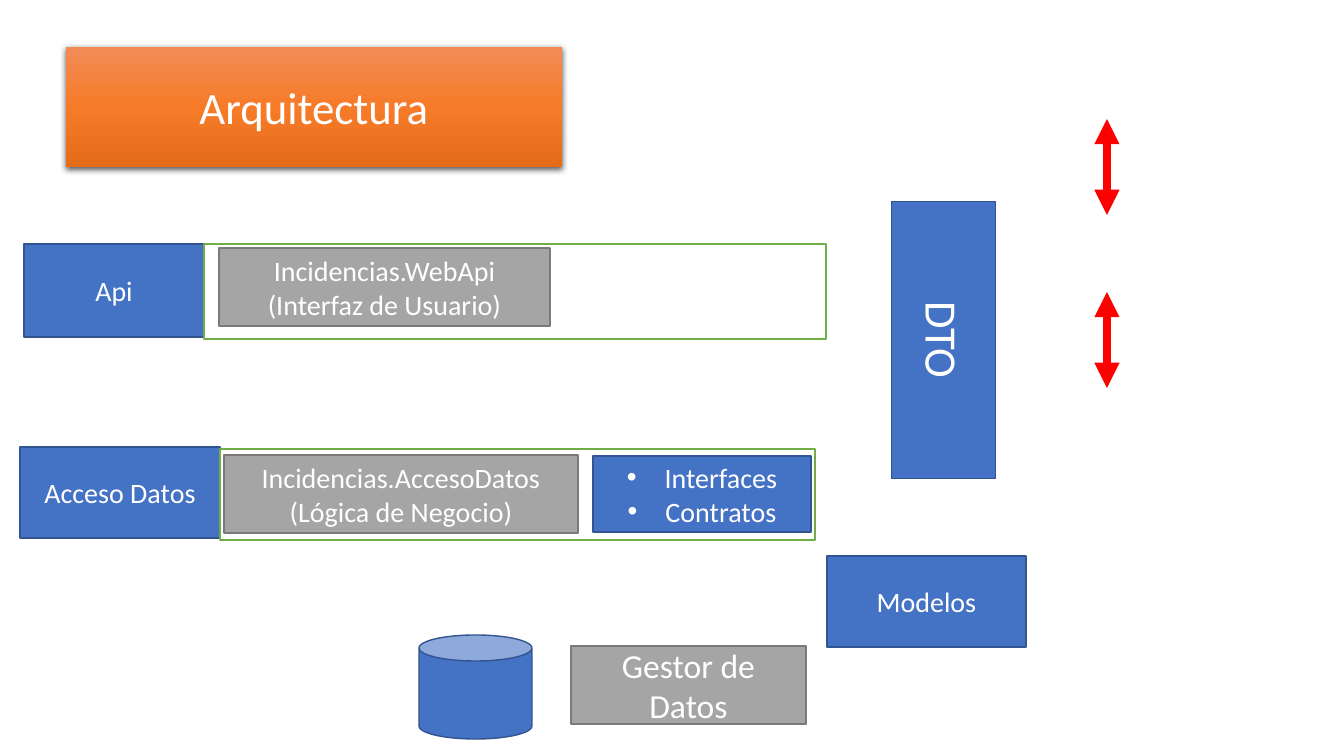
from lxml import etree
from pptx import Presentation
from pptx.dml.color import RGBColor
from pptx.enum.shapes import MSO_CONNECTOR, MSO_SHAPE
from pptx.enum.text import MSO_ANCHOR, PP_ALIGN
from pptx.oxml.ns import qn
from pptx.util import Emu, Pt

PX = 914400 / 100.8
FONT = "Calibri"
WHITE = RGBColor(0xFF, 0xFF, 0xFF)
RED = RGBColor(0xFF, 0x00, 0x00)
BLUE, BLUE_EDGE = RGBColor(0x44, 0x72, 0xC4), RGBColor(0x32, 0x54, 0x91)
GRAY, GRAY_EDGE = RGBColor(0xA5, 0xA5, 0xA5), RGBColor(0x7A, 0x7A, 0x7A)
GREEN_EDGE = RGBColor(0x70, 0xAD, 0x47)
ORANGE_STOPS = [(0, "F18C57"), (50, "F67B28"), (100, "E56C19")]

STYLES = {
    "layer": (BLUE, BLUE_EDGE),
    "project": (GRAY, GRAY_EDGE),
    "frame": (WHITE, GREEN_EDGE),
}

# style, (left, top, width, height), text, text size
BOXES = [
    ("layer", (24, 244, 180, 93), "Api", 20),
    ("frame", (204, 244, 622, 95), "", 20),
    ("project", (219, 248, 331, 78), "Incidencias.WebApi (Interfaz de Usuario)", 20),
    ("layer", (20, 447, 200, 91), "Acceso Datos", 20),
    ("frame", (220, 449, 595, 91), "", 20),
    ("project", (224, 455, 354, 78), "Incidencias.AccesoDatos (Lógica de Negocio)", 20),
    ("project", (571, 646, 235, 78), "Gestor de Datos", 24),
    ("layer", (827, 556, 199, 91), "Modelos", 20),
]
TITLE = ((66, 47, 496, 120), "Arquitectura", 32)
DTO = ((805, 288, 277, 104), "DTO", 32)
CONTRACTS = ((593, 456, 218, 76), "Interfaces\nContratos", 20)
DATABASE = (419, 635, 113, 104)
ARROW_X, ARROW_TOPS, ARROW_LENGTH = 1107, (119, 292), 96


def px(value):
    """Turn pixels into EMU."""
    return Emu(round(value * PX))


def add_element(parent, tag, **attributes):
    """Append a drawing element with the given attributes."""
    return etree.SubElement(parent, qn(tag), {k: str(v) for k, v in attributes.items()})


def add_box(slide, style, place, text="", size=20, kind=MSO_SHAPE.RECTANGLE):
    """Add a filled, outlined shape with centred white text."""
    shape = slide.shapes.add_shape(kind, *map(px, place))
    shape.shadow.inherit = False
    fill, edge = STYLES[style]
    shape.fill.solid()
    shape.fill.fore_color.rgb = fill
    shape.line.color.rgb = edge
    shape.line.width = Pt(1)
    frame = shape.text_frame
    frame.word_wrap = True
    frame.vertical_anchor = MSO_ANCHOR.MIDDLE
    frame.text = text
    for paragraph in frame.paragraphs:
        paragraph.alignment = PP_ALIGN.CENTER
        font = paragraph.font
        for run in paragraph.runs:
            font = run.font
        font.name, font.size, font.color.rgb = FONT, Pt(size), WHITE
    return shape


def add_title(slide, place, text, size):
    """Add the orange gradient title with its soft shadow."""
    title = add_box(slide, "layer", place, text, size)
    title.line.fill.background()
    title.fill.gradient()
    title.fill.gradient_angle = 270
    properties = title._element.spPr
    stops = properties.find(".//" + qn("a:gsLst"))
    for stop in list(stops):
        stops.remove(stop)
    for position, color in ORANGE_STOPS:
        stop = add_element(stops, "a:gs", pos=position * 1000)
        add_element(stop, "a:srgbClr", val=color)
    shadow = add_element(properties.find(qn("a:effectLst")), "a:outerShdw",
                         blurRad=Pt(4.5), dist=Pt(1.5), dir=5400000,
                         algn="ctr", rotWithShape=0)
    add_element(add_element(shadow, "a:srgbClr", val="000000"), "a:alpha", val=63000)


def add_bullets(shape):
    """Give every paragraph of the shape a hanging round bullet."""
    for paragraph in shape.text_frame.paragraphs:
        properties = paragraph._p.get_or_add_pPr()
        properties.set("marL", "342900")
        properties.set("indent", "-342900")
        add_element(properties, "a:buFont", typeface="Arial")
        add_element(properties, "a:buChar", char="•")


def add_double_arrow(slide, x, top, length):
    """Add a vertical red line with a head at each end."""
    arrow = slide.shapes.add_connector(
        MSO_CONNECTOR.STRAIGHT, px(x), px(top), px(x), px(top + length))
    arrow.line.color.rgb = RED
    arrow.line.width = Pt(6)
    line = arrow.line._get_or_add_ln()
    for end in ("a:headEnd", "a:tailEnd"):
        add_element(line, end, type="triangle")
    add_element(arrow._element.spPr, "a:effectLst")


presentation = Presentation()
presentation.slide_width, presentation.slide_height = px(1344), px(756)
slide = presentation.slides.add_slide(presentation.slide_layouts[6])

for box in BOXES:
    add_box(slide, *box)
add_box(slide, "layer", DATABASE, kind=MSO_SHAPE.CAN)
for arrow_top in ARROW_TOPS:
    add_double_arrow(slide, ARROW_X, arrow_top, ARROW_LENGTH)
add_title(slide, *TITLE)
add_box(slide, "layer", *DTO).rotation = 90
add_bullets(add_box(slide, "layer", *CONTRACTS))

presentation.save("out.pptx")
